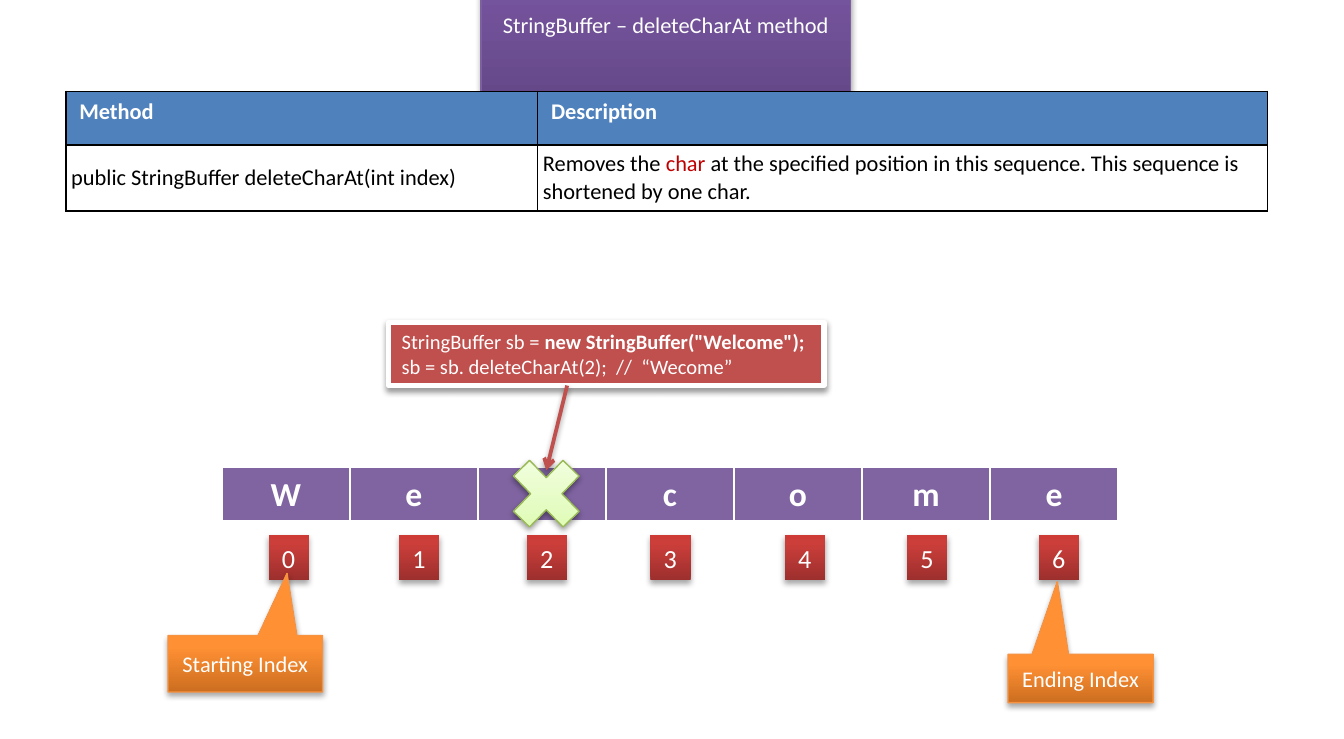
from dataclasses import dataclass

from lxml.etree import SubElement as Sub
from pptx import Presentation
from pptx.dml.color import RGBColor as Rgb
from pptx.enum.shapes import MSO_CONNECTOR as Link, MSO_SHAPE as Kind
from pptx.enum.text import MSO_ANCHOR as Anchor, MSO_AUTO_SIZE as Fit, PP_ALIGN as Align
from pptx.oxml.ns import qn
from pptx.util import Inches, Pt


@dataclass(frozen=True)
class Theme:
    font: str = "Calibri"
    white: str = "FFFFFF"
    black: str = "000000"
    accent: str = "C00000"
    head: str = "4F81BD"
    cell: str = "8064A2"
    code: str = "C0504D"
    title: tuple = ((0, "5F4480"), (80, "7B58A6"), (100, "7C57A8"))
    index: tuple = ((0, "9C2F2D"), (80, "CB3E3A"), (100, "CE3B37"))
    note: tuple = ((0, "CC6E20"), (80, "FF9034"), (100, "FF9136"))
    cross: tuple = ((0, "DAFDA7"), (35, "E4FCC2"), (100, "F5FFE7"))
    title_edge: str = "7D60A0"
    note_edge: str = "F69240"
    cross_edge: str = "98B955"
    small: int = 11
    body: int = 12
    digit: int = 14
    letter: int = 18


T = Theme()


def color(code):
    return Rgb.from_string(code)


def inch(box):
    return [Inches(n) for n in box]


def write(para, runs, size, align=Align.LEFT):
    para.alignment = align
    for text, tint, bold in runs:
        run = para.add_run()
        run.text = text
        run.font.name = T.font
        run.font.size = Pt(size)
        run.font.bold = bold
        run.font.color.rgb = color(tint)


def shade(props, alpha, dist):
    effect = props.find(qn("a:effectLst"))
    if effect is None:
        effect = Sub(props, qn("a:effectLst"))
    outer = Sub(effect, qn("a:outerShdw"), blurRad=str(Pt(3.15)),
                dist=str(Pt(dist)), dir="5400000", rotWithShape="0")
    tint = Sub(outer, qn("a:srgbClr"), val=T.black)
    Sub(tint, qn("a:alpha"), val=str(alpha * 1000))


def paint(shape, fill, edge=None, width=0.75, alpha=35, dist=1.8):
    if isinstance(fill, str):
        shape.fill.solid()
        shape.fill.fore_color.rgb = color(fill)
    else:
        shape.fill.gradient()
        shape.fill.gradient_angle = 90
        stops = shape._element.spPr.find(qn("a:gradFill")).find(qn("a:gsLst"))
        stops.clear()
        for pos, tint in fill:
            stop = Sub(stops, qn("a:gs"), pos=str(pos * 1000))
            Sub(stop, qn("a:srgbClr"), val=tint)
    if edge:
        shape.line.color.rgb = color(edge)
        shape.line.width = Pt(width)
    else:
        shape.line.fill.background()
    shape.shadow.inherit = False
    shade(shape._element.spPr, alpha, dist)


def border(cell, edges):
    props = cell._tc.get_or_add_tcPr()
    for side, (tint, width) in zip("LRTB", edges):
        line = Sub(props, qn(f"a:ln{side}"), w=str(Pt(width)))
        Sub(Sub(line, qn("a:solidFill")), qn("a:srgbClr"), val=tint)


def grid(slide, box, cols, rows):
    table = slide.shapes.add_table(len(rows), len(cols), *inch(box)).table
    table.first_row = table.horz_banding = False
    for col, width in zip(table.columns, cols):
        col.width = Inches(width)
    for row, height in zip(table.rows, rows):
        row.height = Inches(height)
    return table


def add_title(slide, box):
    title = slide.shapes.title
    title.left, title.top, title.width, title.height = inch(box)
    paint(title, T.title, T.title_edge)
    frame = title.text_frame
    frame.auto_size = Fit.SHAPE_TO_FIT_TEXT
    frame.vertical_anchor = Anchor.MIDDLE
    write(frame.paragraphs[0], [("StringBuffer – deleteCharAt method", T.white, False)],
          T.body, Align.CENTER)


def add_method(slide, box):
    left = 3.51
    table = grid(slide, box, (left, box[2] - left), (0.4, box[3] - 0.4))
    body = (
        [("public StringBuffer deleteCharAt(int index)", T.black, False)],
        [("Removes the ", T.black, False), ("char", T.accent, False),
         (" at the specified position in this sequence. "
          "This sequence is shortened by one char.", T.black, False)],
    )
    for col, name in enumerate(("Method", "Description")):
        head, cell = table.cell(0, col), table.cell(1, col)
        for item in (head, cell):
            border(item, [(T.black, 1)] * 4)
        head.fill.solid()
        head.fill.fore_color.rgb = color(T.head)
        write(head.text_frame.paragraphs[0], [(name, T.white, True)], T.body)
        cell.fill.background()
        cell.vertical_anchor = Anchor.MIDDLE
        cell.margin_left = cell.margin_right = Inches(0.04)
        cell.margin_top = cell.margin_bottom = Inches(0.04)
        write(cell.text_frame.paragraphs[0], body[col], T.body)


def add_array(slide, box, word):
    x, y, w, h = box
    table = grid(slide, box, [w / len(word)] * len(word), [h])
    for col, letter in enumerate(word):
        cell = table.cell(0, col)
        border(cell, [(T.white, 1)] * 3 + [(T.white, 3)])
        cell.fill.solid()
        cell.fill.fore_color.rgb = color(T.cell)
        write(cell.text_frame.paragraphs[0], [(letter, T.white, True)], T.letter, Align.CENTER)
    for num, dx in enumerate((0.35, 1.32, 2.27, 3.19, 4.19, 5.1, 6.08)):
        chip = slide.shapes.add_shape(Kind.RECTANGLE, *inch((x + dx, y + 0.5, 0.3, 0.34)))
        paint(chip, T.index)
        frame = chip.text_frame
        frame.word_wrap = False
        frame.auto_size = Fit.SHAPE_TO_FIT_TEXT
        write(frame.paragraphs[0], [(str(num), T.white, False)], T.digit)


def add_note(slide, box, text, tip):
    note = slide.shapes.add_shape(Kind.RECTANGULAR_CALLOUT, *inch(box))
    for pos, value in enumerate(tip):
        note.adjustments[pos] = value
    paint(note, T.note, T.note_edge)
    note.text_frame.word_wrap = False
    note.text_frame.vertical_anchor = Anchor.MIDDLE
    write(note.text_frame.paragraphs[0], [(text, T.white, False)], T.body, Align.CENTER)


def add_code(slide, box):
    code = slide.shapes.add_shape(Kind.RECTANGLE, *inch(box))
    paint(code, T.code, T.white, 3, 38, 1.6)
    frame = code.text_frame
    frame.word_wrap = False
    frame.auto_size = Fit.SHAPE_TO_FIT_TEXT
    write(frame.paragraphs[0], [("StringBuffer sb = ", T.white, False),
                                ('new StringBuffer("Welcome");', T.white, True)], T.small)
    write(frame.add_paragraph(),
          [("sb = sb. deleteCharAt(2);  //  “Wecome”", T.white, False)], T.small)


def add_cut(slide, box):
    x, y, w, h = box
    ends = (x + 0.51, y - 0.44, x + w / 2, y + 0.19)
    arrow = slide.shapes.add_connector(Link.STRAIGHT, *inch(ends))
    arrow.line.color.rgb = color(T.code)
    arrow.line.width = Pt(2)
    Sub(arrow.line._get_or_add_ln(), qn("a:tailEnd"), type="arrow")
    shade(arrow._element.spPr, 38, 1.6)
    cross = slide.shapes.add_shape(Kind.MATH_MULTIPLY, *inch(box))
    paint(cross, T.cross, T.cross_edge, alpha=38, dist=1.6)


def main():
    deck = Presentation()
    deck.slide_width, deck.slide_height = Inches(10), Inches(5.5)
    slide = deck.slides.add_slide(deck.slide_layouts[5])
    add_title(slide, (3.58, 0.03, 2.75, 0.3))
    add_method(slide, (0.49, 0.68, 8.94, 0.89))
    add_array(slide, (1.65, 3.48, 6.67, 0.41), "Welcome")
    add_note(slide, (1.25, 4.73, 1.15, 0.42), "Starting Index", (0.27, -1.6))
    add_note(slide, (7.5, 4.87, 1.08, 0.36), "Ending Index", (-0.16, -2))
    add_code(slide, (2.89, 2.4, 3.24, 0.47))
    add_cut(slide, (3.71, 3.31, 0.71, 0.73))
    deck.save("out.pptx")


if __name__ == "__main__":
    main()
